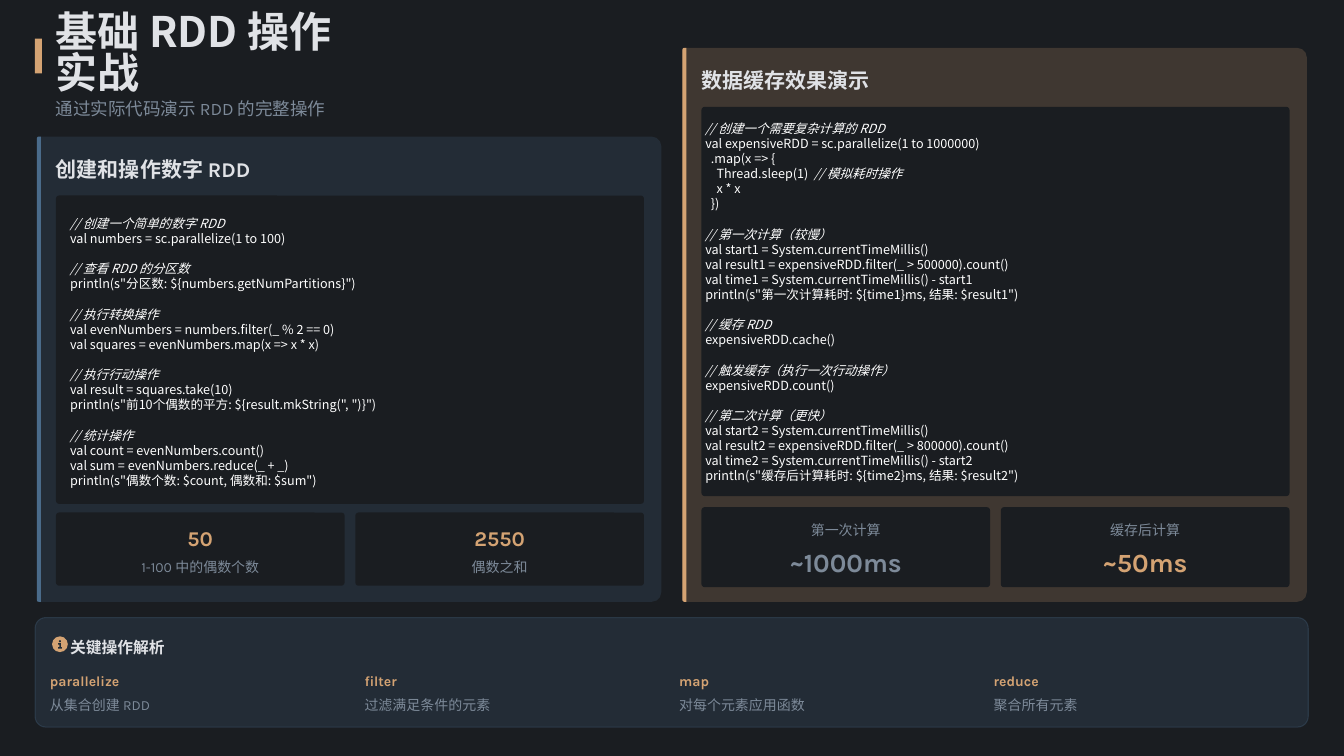
from lxml import etree
from pptx import Presentation
from pptx.dml.color import RGBColor
from pptx.enum.shapes import MSO_SHAPE as Shape
from pptx.enum.text import MSO_ANCHOR as Anchor, PP_ALIGN as Align
from pptx.oxml.ns import qn
from pptx.util import Cm, Pt

COLORS = {
    "night": "1A1D21", "light": "E0E2E6", "grey": "7D8A99", "white": "FFFFFF",
    "gold": "D4A373", "blue": "4A6B8A", "slate": "242D36",
}
CJK = "Noto Sans CJK SC"
PAD = 0.64          # inner margin of a panel
PANEL_W = 20.98
PANEL_BOTTOM = 20.22

NUMBERS_CODE = """\
// 创建一个简单的数字 RDD
val numbers = sc.parallelize(1 to 100)

// 查看 RDD 的分区数
println(s"分区数: ${numbers.getNumPartitions}")

// 执行转换操作
val evenNumbers = numbers.filter(_ % 2 == 0)
val squares = evenNumbers.map(x => x * x)

// 执行行动操作
val result = squares.take(10)
println(s"前10个偶数的平方: ${result.mkString(", ")}")

// 统计操作
val count = evenNumbers.count()
val sum = evenNumbers.reduce(_ + _)
println(s"偶数个数: $count, 偶数和: $sum")"""

CACHE_CODE = """\
// 创建一个需要复杂计算的 RDD
val expensiveRDD = sc.parallelize(1 to 1000000)
  .map(x => {
    Thread.sleep(1)  // 模拟耗时操作
    x * x
  })

// 第一次计算（较慢）
val start1 = System.currentTimeMillis()
val result1 = expensiveRDD.filter(_ > 500000).count()
val time1 = System.currentTimeMillis() - start1
println(s"第一次计算耗时: ${time1}ms, 结果: $result1")

// 缓存 RDD
expensiveRDD.cache()

// 触发缓存（执行一次行动操作）
expensiveRDD.count()

// 第二次计算（更快）
val start2 = System.currentTimeMillis()
val result2 = expensiveRDD.filter(_ > 800000).count()
val time2 = System.currentTimeMillis() - start2
println(s"缓存后计算耗时: ${time2}ms, 结果: $result2")"""

OPERATIONS = [
    ("parallelize", "从集合创建 RDD"),
    ("filter", "过滤满足条件的元素"),
    ("map", "对每个元素应用函数"),
    ("reduce", "聚合所有元素"),
]


def paint(target, color, alpha=None):
    """Give a fill a solid colour, with opacity in percent if asked."""
    target.solid()
    target.fore_color.rgb = RGBColor.from_string(COLORS[color])
    if alpha:
        element = target._xPr.find(qn("a:solidFill"))[0]
        etree.SubElement(element, qn("a:alpha")).set("val", str(alpha * 1000))


def add_box(slide, kind, x, y, w, h, color, alpha=None, radius=None):
    box = slide.shapes.add_shape(kind, Cm(x), Cm(y), Cm(w), Cm(h))
    box.shadow.inherit = False
    paint(box.fill, color, alpha)
    box.line.fill.background()
    if radius:
        box.adjustments[0] = radius / min(w, h)
    return box


def add_side_box(slide, x, y, w, h, color, left, right, alpha=None):
    """Box with its own corner radius on the left and on the right."""
    box = add_box(slide, Shape.ROUND_2_SAME_RECTANGLE,
                  x + (w - h) / 2, y + (h - w) / 2, h, w, color, alpha)
    box.rotation = 90
    box.adjustments[0] = right / min(w, h)
    box.adjustments[1] = left / min(w, h)


def add_frame(slide, x, y, w, h):
    frame = slide.shapes.add_textbox(Cm(x), Cm(y), Cm(w), Cm(h)).text_frame
    frame.word_wrap = True
    frame.vertical_anchor = Anchor.MIDDLE
    frame.margin_left = frame.margin_right = 0
    frame.margin_top = frame.margin_bottom = 0
    return frame


def add_run(paragraph, text, size, color, font="Karla", bold=False, italic=False):
    run = paragraph.add_run()
    run.text = text
    run.font.size = Pt(size)
    run.font.name = font
    run.font.bold = bold
    run.font.italic = italic
    run.font.color.rgb = RGBColor.from_string(COLORS[color])
    east_asian = etree.SubElement(run.font._element, qn("a:ea"))
    east_asian.set("typeface", CJK)


def add_text(slide, text, x, y, w, h, spacing=1.3, align=Align.LEFT, **style):
    paragraph = add_frame(slide, x, y, w, h).paragraphs[0]
    paragraph.alignment = align
    paragraph.line_spacing = spacing
    add_run(paragraph, text, **style)


def add_code(slide, code, x, y, w, h):
    """Code with italic comments; an empty line becomes space before."""
    frame = add_frame(slide, x, y, w, h)
    style = {"size": 12, "color": "white", "font": CJK}
    pitch = Pt(14.4)
    for number, block in enumerate(code.split("\n\n")):
        for row, line in enumerate(block.split("\n")):
            first = number == row == 0
            paragraph = frame.paragraphs[0] if first else frame.add_paragraph()
            paragraph.line_spacing = pitch
            if number and row == 0:
                paragraph.space_before = pitch
            statement, slashes, comment = line.partition("//")
            if statement:
                add_run(paragraph, statement, **style)
            if slashes:
                add_run(paragraph, slashes + comment, italic=True, **style)


def add_panel(slide, x, y, color, title, code_h):
    h = PANEL_BOTTOM - y
    add_side_box(slide, x, y, PANEL_W, h, color, 0.1, 0.32, alpha=20)
    add_side_box(slide, x, y, 0.13, h, color, 0.06, 0)
    add_text(slide, title, x + PAD, y + 0.58, 20.12, 0.94, spacing=1.1,
             size=20, color="light", bold=True)
    add_box(slide, Shape.ROUNDED_RECTANGLE, x + PAD, y + 1.98, 19.76, code_h,
            "night", radius=0.11)


def add_cards(slide, panel_x, y, h, cards):
    """Two cards side by side; each lists (text, offset, height, format)."""
    for column, lines in enumerate(cards):
        x = panel_x + PAD + column * 10.06
        add_box(slide, Shape.ROUNDED_RECTANGLE, x, y, 9.7, h, "night", radius=0.11)
        for text, offset, line_h, style in lines:
            add_text(slide, text, x + 0.18, y + offset, 9.34, line_h,
                     align=Align.CENTER, **style)


def add_info_icon(slide, x, y):
    add_box(slide, Shape.OVAL, x, y, 0.53, 0.53, "gold")
    add_box(slide, Shape.OVAL, x + 0.23, y + 0.13, 0.07, 0.07, "slate")
    stem = [(0.2, 0.23), (0.3, 0.23), (0.3, 0.36), (0.33, 0.36), (0.33, 0.41),
            (0.2, 0.41), (0.2, 0.36), (0.25, 0.36), (0.25, 0.28), (0.2, 0.28)]
    points = [(Cm(x + dx), Cm(y + dy)) for dx, dy in stem]
    builder = slide.shapes.build_freeform(*points[0])
    builder.add_line_segments(points[1:])
    letter = builder.convert_to_shape()
    letter.shadow.inherit = False
    paint(letter.fill, "slate")
    letter.line.fill.background()


def add_summary(slide):
    bar = add_box(slide, Shape.ROUNDED_RECTANGLE, 1.18, 20.75, 42.78, 3.68,
                  "blue", alpha=20, radius=0.36)
    bar.line.width = Pt(1)
    paint(bar.line.fill, "blue", alpha=30)
    add_info_icon(slide, 1.75, 21.38)
    add_text(slide, "关键操作解析", 2.36, 21.23, 41.4, 0.81,
             size=15, color="light", bold=True)
    for column, (name, meaning) in enumerate(OPERATIONS):
        x = 1.68 + column * 10.57
        add_text(slide, name, x, 22.43, 10.34, 0.71, size=13.3, color="gold", bold=True)
        add_text(slide, meaning, x, 23.24, 10.34, 0.71, size=13.3, color="grey")


def main():
    deck = Presentation()
    deck.slide_width, deck.slide_height = Cm(45.16), Cm(25.4)
    slide = deck.slides.add_slide(deck.slide_layouts[6])
    paint(slide.background.fill, "night")

    # Heading
    add_box(slide, Shape.RECTANGLE, 1.17, 1.3, 0.24, 1.17, "gold")
    add_text(slide, "基础 RDD 操作实战", 1.88, 1.17, 10.13, 1.42, spacing=0.8,
             size=40, color="light", font=CJK, bold=True)
    add_text(slide, "通过实际代码演示 RDD 的完整操作", 1.88, 3.18, 42.4, 0.81,
             spacing=1.2, size=16.7, color="grey")

    label = {"size": 13.3, "color": "grey"}
    total = {"size": 20, "color": "gold", "bold": True, "spacing": 1.1}
    timing = {"size": 25, "bold": True, "spacing": 1.0}

    # Number operations
    numbers_x = 1.24
    add_panel(slide, numbers_x, 4.59, "blue", "创建和操作数字 RDD", 10.36)
    add_code(slide, NUMBERS_CODE, 2.36, 7.14, 19.05, 9.37)
    add_cards(slide, numbers_x, 17.22, 2.46, [
        [(value, 0.36, 0.94, total), (caption, 1.4, 0.71, label)]
        for value, caption in (("50", "1-100 中的偶数个数"), ("2550", "偶数之和"))])

    # Cache effect
    cache_x = 22.93
    add_panel(slide, cache_x, 1.61, "gold", "数据缓存效果演示", 13.08)
    add_code(slide, CACHE_CODE, 23.7, 3.61, 19.5, 13.08)
    add_cards(slide, cache_x, 17.04, 2.69, [
        [(caption, 0.33, 0.71, label), (value, 1.3, 1.07, {**timing, "color": color})]
        for caption, value, color in (("第一次计算", "~1000ms", "grey"),
                                      ("缓存后计算", "~50ms", "gold"))])

    # Key operations
    add_summary(slide)
    deck.save("out.pptx")


if __name__ == "__main__":
    main()
